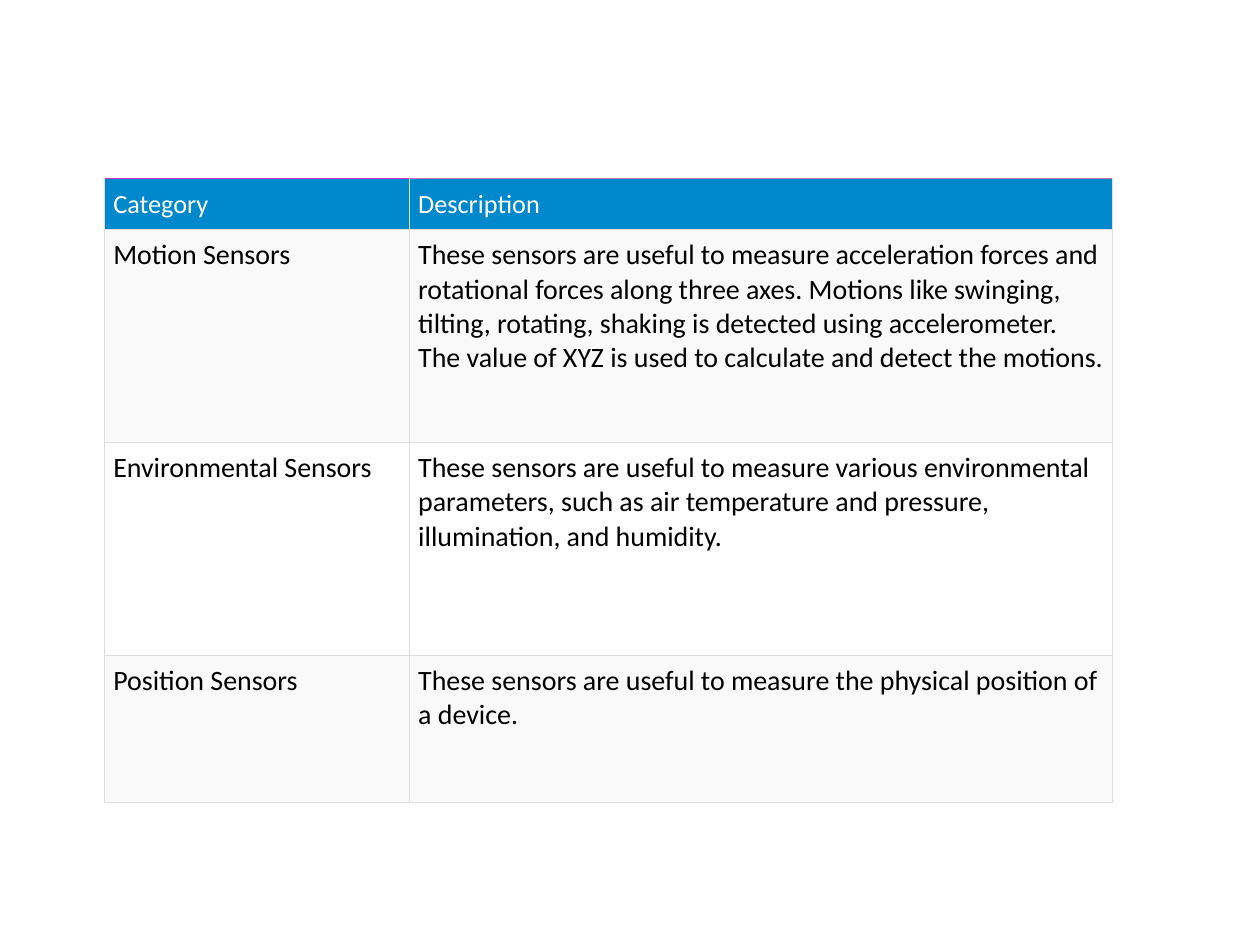
from lxml.etree import SubElement
from pptx import Presentation
from pptx.dml.color import RGBColor
from pptx.enum.text import MSO_ANCHOR
from pptx.oxml.ns import qn
from pptx.util import Inches, Pt

TOP = MSO_ANCHOR.TOP
BOTTOM = MSO_ANCHOR.BOTTOM
BLANK_LAYOUT = 6

COLUMN_WIDTHS = [2.42, 5.58]
ROW_HEIGHTS = [0.4, 1.69, 1.69, 1.17]
HEADER_TOP_BORDERS = ["E02FC2", "D069B8"]
SENSOR_ROWS = [
    ("Category", "Description"),
    ("Motion Sensors",
     "These sensors are useful to measure acceleration forces and rotational "
     "forces along three axes. Motions like swinging, tilting, rotating, "
     "shaking is detected using accelerometer. The value of XYZ is used to "
     "calculate and detect the motions."),
    ("Environmental Sensors",
     "These sensors are useful to measure various environmental parameters, "
     "such as air temperature and pressure, illumination, and humidity."),
    ("Position Sensors",
     "These sensors are useful to measure the physical position of a device."),
]


def rgb(value):
    return RGBColor.from_string(value)


class SlideBuilder:
    font = "Calibri"
    header_fill = "0088CC"
    header_text = "FFFFFF"
    body_text = "000000"
    body_fills = ["F9F9F9", "FFFFFF"]
    border = "DDDDDD"
    border_width = Pt(0.75)
    cell_margin = Inches(0.07)

    def __init__(self, slide):
        self.slide = slide

    def add_table(self, left, top, rows, column_widths, row_heights, header_tops):
        frame = self.slide.shapes.add_table(
            len(rows), len(column_widths), Inches(left), Inches(top),
            Inches(sum(column_widths)), Inches(sum(row_heights)))
        table = frame.table
        table.horz_banding = False
        for column, width in zip(table.columns, column_widths):
            column.width = Inches(width)
        for row, height in zip(table.rows, row_heights):
            row.height = Inches(height)
        for row_index, texts in enumerate(rows):
            for column_index, text in enumerate(texts):
                cell = table.cell(row_index, column_index)
                if row_index == 0:
                    self.format_cell(cell, self.header_fill, BOTTOM,
                                     header_tops[column_index])
                    self.add_text(cell, text, 15, self.header_text)
                else:
                    fill = self.body_fills[(row_index - 1) % 2]
                    self.format_cell(cell, fill, TOP, self.border)
                    self.add_text(cell, text, 16, self.body_text)

    def format_cell(self, cell, fill, anchor, top_border):
        cell.margin_left = cell.margin_right = self.cell_margin
        cell.margin_top = cell.margin_bottom = self.cell_margin
        cell.vertical_anchor = anchor
        self.add_borders(cell, top_border)
        cell.fill.solid()
        cell.fill.fore_color.rgb = rgb(fill)

    def add_borders(self, cell, top_border):
        """Draw all four sides; must run before the fill, which follows in the XML."""
        properties = cell._tc.get_or_add_tcPr()
        for side in ("L", "R", "T", "B"):
            line = SubElement(properties, qn(f"a:ln{side}"), w=str(self.border_width))
            solid = SubElement(line, qn("a:solidFill"))
            color = top_border if side == "T" else self.border
            SubElement(solid, qn("a:srgbClr"), val=color)

    def add_text(self, cell, text, size, color):
        run = cell.text_frame.paragraphs[0].add_run()
        run.text = text
        run.font.name = self.font
        run.font.size = Pt(size)
        run.font.bold = False
        run.font.color.rgb = rgb(color)


def main():
    presentation = Presentation()
    presentation.slide_width = Inches(10)
    presentation.slide_height = Inches(7.5)
    layout = presentation.slide_layouts[BLANK_LAYOUT]
    builder = SlideBuilder(presentation.slides.add_slide(layout))
    builder.add_table(0.83, 1.42, SENSOR_ROWS, COLUMN_WIDTHS, ROW_HEIGHTS,
                      HEADER_TOP_BORDERS)
    presentation.save("out.pptx")


if __name__ == "__main__":
    main()
